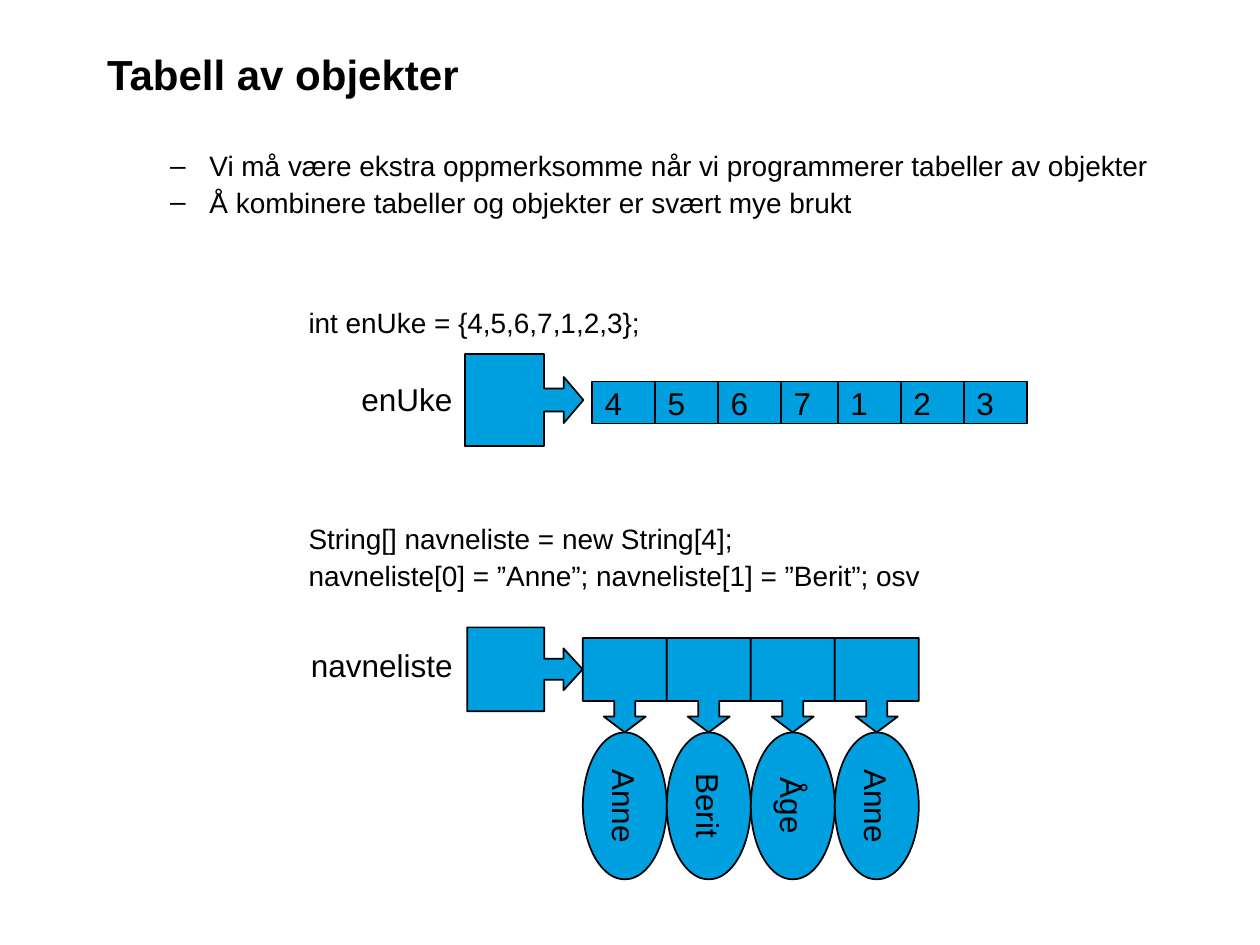
import pptx
import pptx.dml.color
import pptx.enum.shapes
import pptx.enum.text
import pptx.util

Pt = pptx.util.Pt
MSO = pptx.enum.shapes.MSO_SHAPE
ALIGN = pptx.enum.text.PP_ALIGN
ANCHOR = pptx.enum.text.MSO_ANCHOR
BLUE = pptx.dml.color.RGBColor(0x00, 0x9F, 0xE0)
BLACK = pptx.dml.color.RGBColor(0x00, 0x00, 0x00)

TITLE = "Tabell av objekter"
POINTS = [
    "Vi må være ekstra oppmerksomme når vi programmerer tabeller av objekter",
    "Å kombinere tabeller og objekter er svært mye brukt",
]
# code line, space before it
CODE = [
    ("int enUke = {4,5,6,7,1,2,3};", 3.6),
    ("String[] navneliste = new String[4];", 106),
    ("navneliste[0] = ”Anne”; navneliste[1] = ”Berit”; osv", 3.6),
]
# label, its place, place of the variable box, arrow head length
VARIABLES = [
    ("enUke", (199.4, 213.8, 66.2, 28.8), (265.7, 202.3, 67.7, 52.6), 0.212),
    ("navneliste", (170.6, 365.8, 95.8, 28.8), (267, 358.5, 66, 48), 0.229),
]
# left edge, numbers in that part of the row
WEEK = [(338.4, "4567"), (478.8, "123")]
NAMES = ["Anne", "Berit", "Åge", "Anne"]

CELL_TOP, CELL_W, CELL_H = 218, 36, 24
NAMES_LEFT, NAMES_TOP, NAME_W = 333, 364.5, 48
ARROW_H, OVAL_H = 54, 84


def place(shape, box):
    for key, value in zip(("left", "top", "width", "height"), box):
        setattr(shape, key, Pt(value))


def write(p, text, size, bold=False, **format_values):
    r = p.add_run()
    r.text = text
    font = {"name": "Arial", "size": Pt(size), "bold": bold}
    for key, value in font.items():
        setattr(r.font, key, value)
    r.font.color.rgb = BLACK
    for key, value in format_values.items():
        setattr(p, key, value)


def write_lines(tf, lines, **format_values):
    for i, (text, before) in enumerate(lines):
        p = tf.paragraphs[0] if i == 0 else tf.add_paragraph()
        write(p, text, 16, line_spacing=0.9, space_before=Pt(before), **format_values)


def add_shape(s, kind, box, adjustments=()):
    sp = s.shapes.add_shape(kind, *map(Pt, box))
    sp.shadow.inherit = False
    sp.fill.solid()
    sp.fill.fore_color.rgb = BLUE
    sp.line.color.rgb = BLACK
    sp.line.width = Pt(1)
    for i, value in enumerate(adjustments):
        sp.adjustments[i] = value
    return sp


def label(sp, text, alignment):
    tf = sp.text_frame
    tf.word_wrap = False
    tf.vertical_anchor = ANCHOR.MIDDLE
    write(tf.paragraphs[0], text, 18, alignment=alignment)


prs = pptx.Presentation()
prs.slide_width, prs.slide_height = Pt(720), Pt(540)
s = prs.slides.add_slide(prs.slide_layouts[1])

title, body = s.placeholders
place(title, (54, 24, 612, 36))
title.text_frame.vertical_anchor = ANCHOR.MIDDLE
write(title.text_frame.paragraphs[0], TITLE, 24, bold=True, alignment=ALIGN.LEFT)

place(body, (54, 83.5, 612, 57.6))
write_lines(body.text_frame, [(text, 3.6) for text in POINTS], level=1)

code = s.shapes.add_textbox(Pt(169.2), Pt(173.5), Pt(500), Pt(193))
code.text_frame.word_wrap = True
write_lines(code.text_frame, CODE)

for name, label_box, box, head in VARIABLES:
    add_shape(s, MSO.RIGHT_ARROW_CALLOUT, box, (0.25, 0.25, head, 0.667))
    label(s.shapes.add_textbox(*map(Pt, label_box)), name, ALIGN.LEFT)

for left, numbers in WEEK:
    for i, number in enumerate(numbers):
        box = (left + i * CELL_W, CELL_TOP, CELL_W, CELL_H)
        label(add_shape(s, MSO.RECTANGLE, box), number, ALIGN.LEFT)

for i, name in enumerate(NAMES):
    left = NAMES_LEFT + i * NAME_W
    add_shape(s, MSO.DOWN_ARROW_CALLOUT, (left, NAMES_TOP, NAME_W, ARROW_H),
              (0.25, 0.25, 0.188, 0.667))
    # the oval lies flat before its quarter turn about the centre
    shift = (OVAL_H - NAME_W) / 2
    oval = add_shape(s, MSO.OVAL,
                     (left - shift, NAMES_TOP + ARROW_H + shift, OVAL_H, NAME_W))
    oval.rotation = 90
    label(oval, name, ALIGN.CENTER)

prs.save("out.pptx")
